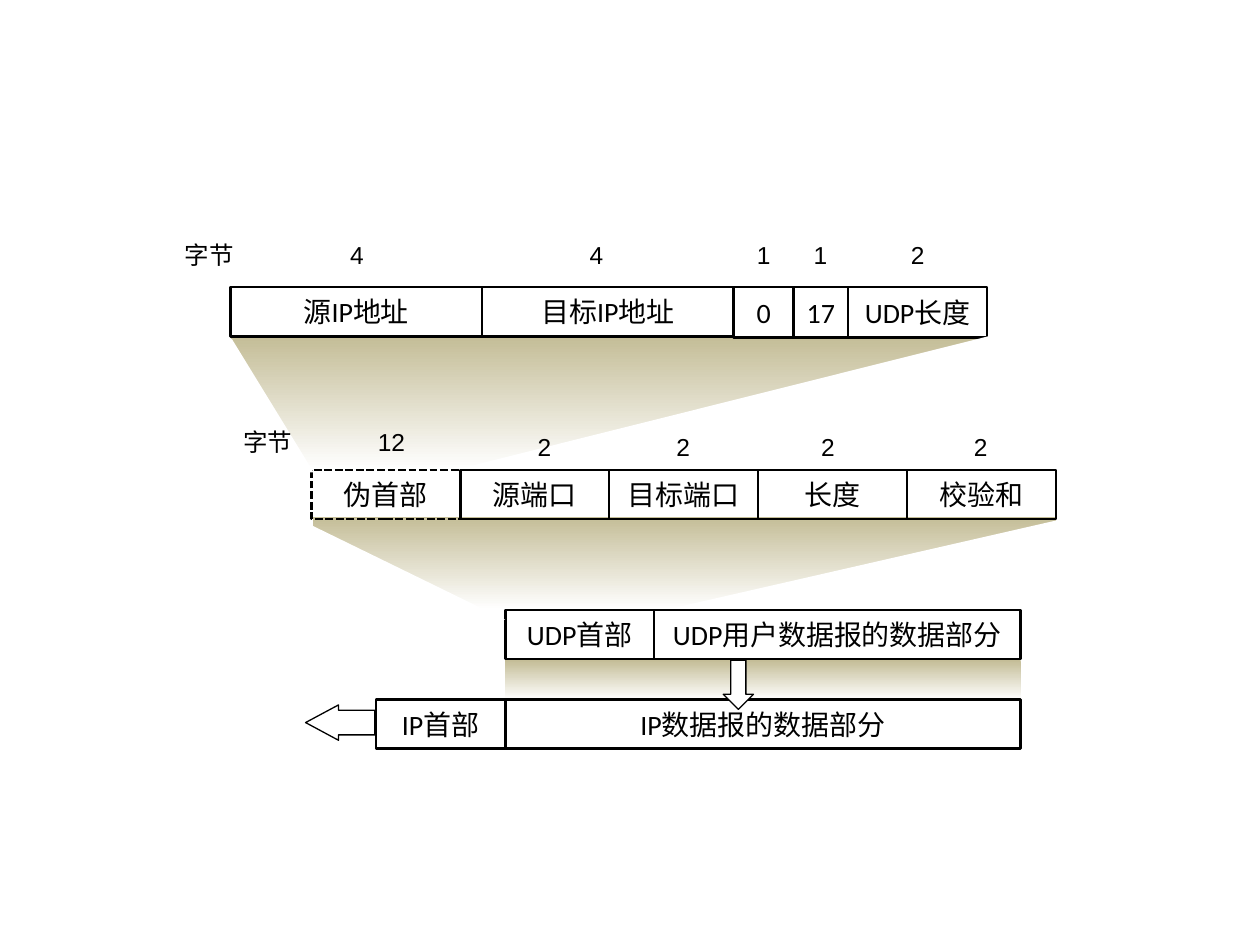
"""Build a slide showing how a UDP datagram and its pseudo header are encapsulated in IP."""
from dataclasses import dataclass

from pptx import Presentation
from pptx.dml.color import RGBColor
from pptx.enum.dml import MSO_LINE
from pptx.enum.shapes import MSO_SHAPE
from pptx.enum.text import MSO_ANCHOR, MSO_AUTO_SIZE, PP_ALIGN
from pptx.shapes.autoshape import Shape
from pptx.slide import Slide
from pptx.util import Pt

BLACK = RGBColor(0x00, 0x00, 0x00)
WHITE = RGBColor(0xFF, 0xFF, 0xFF)
TAN = RGBColor(0xC4, 0xBD, 0x97)
RECTANGLE = MSO_SHAPE.RECTANGLE
TRIANGLE = MSO_SHAPE.ISOSCELES_TRIANGLE
DOWN_ARROW = MSO_SHAPE.DOWN_ARROW
DASH = MSO_LINE.SQUARE_DOT
MIDDLE = MSO_ANCHOR.MIDDLE
CENTER = PP_ALIGN.CENTER
FIT_TEXT = MSO_AUTO_SIZE.SHAPE_TO_FIT_TEXT
CELL_HEIGHT = 28.1
PORT_WIDTH = 85.1


@dataclass(frozen=True)
class Area:
    left: float
    top: float
    width: float
    height: float


@dataclass(frozen=True)
class Cell:
    text: str
    width: float
    height: float = CELL_HEIGHT
    dashed: bool = False


@dataclass(frozen=True)
class Row:
    left: float
    top: float
    cells: tuple[Cell, ...]


@dataclass(frozen=True)
class Wedge:
    area: Area
    apex: float


@dataclass(frozen=True)
class Arrow:
    area: Area
    adjustments: tuple[float, float] = (0.5, 0.5)
    rotation: float = 0


@dataclass(frozen=True)
class Label:
    text: str
    left: float
    top: float
    width: float = 22.1


ROWS = (
    Row(288.7, 348.6, (Cell("UDP首部", PORT_WIDTH), Cell("UDP用户数据报的数据部分", 209.4))),
    Row(214.8, 399.6, (Cell("IP首部", 73.9), Cell("IP数据报的数据部分", 294.5))),
    Row(177.9, 268.6, (
        Cell("伪首部", PORT_WIDTH, dashed=True),
        *(Cell(text, PORT_WIDTH) for text in ("源端口", "目标端口", "长度", "校验和")),
    )),
    Row(131.7, 164.1, (
        Cell("源IP地址", 143.8),
        Cell("目标IP地址", 143.8),
        Cell("0", 34.2, 28.8),
        Cell("17", 31.2, 28.8),
        Cell("UDP长度", 79.3, 28.8),
    )),
)
BANDS = (
    Area(288.7, 377.3, 294.5, 22.3),
    Area(178.6, 295.2, 424.8, 53.3),
    Area(131.8, 192.2, 429.1, 76.3),
)
BACK_WEDGE = Wedge(Area(373.7, 297.4, 343.4, 52.6), 0.67)
FRONT_WEDGES = (
    Wedge(Area(262.8, 191.5, 411.8, 76.3), 0.74),
    Wedge(Area(-4.3, 193.7, 183.6, 76.3), 0.745),
    Wedge(Area(40.3, 299.5, 248.4, 54.7), 0.549),
)
ARROWS = (
    Arrow(Area(413.3, 377.3, 17.3, 28.1)),
    Arrow(Area(184.3, 393.1, 20.2, 39.6), (0.697, 0.93), 90),
)
LABELS = (
    Label("字节", 98.6, 133.9, 42.5),
    Label("4", 193, 133.9),
    Label("4", 329.8, 133.9),
    Label("1", 425.5, 133.9),
    Label("1", 457.9, 133.9),
    Label("2", 513.4, 133.9),
    Label("字节", 131.8, 240.5, 42.5),
    Label("12", 208.8, 240.5, 30.2),
    Label("2", 300.2, 243.4),
    Label("2", 379.4, 243.4),
    Label("2", 462.2, 243.4),
    Label("2", 549.4, 243.4),
)


def add_shape(page: Slide, kind: MSO_SHAPE, area: Area) -> Shape:
    """Add a preset shape with no shadow, fill or line."""
    shape = page.shapes.add_shape(
        kind, Pt(area.left), Pt(area.top), Pt(area.width), Pt(area.height))
    shape.shadow.inherit = False
    shape.fill.background()
    shape.line.fill.background()
    return shape


def outline(shape: Shape, width: float) -> None:
    """Give a shape a black line."""
    shape.line.color.rgb = BLACK
    shape.line.width = Pt(width)


def fill_white(shape: Shape) -> None:
    """Fill a shape with solid white."""
    shape.fill.solid()
    shape.fill.fore_color.rgb = WHITE


def write(shape: Shape, text: str, font_name: str, size: float) -> None:
    """Write one unwrapped black paragraph in a shape."""
    shape.text_frame.word_wrap = False
    paragraph = shape.text_frame.paragraphs[0]
    paragraph.text = text
    paragraph.font.name = font_name
    paragraph.font.size = Pt(size)
    paragraph.font.color.rgb = BLACK


def draw_band(page: Slide, area: Area) -> None:
    """Draw a band that fades downwards from tan to white."""
    fill = add_shape(page, RECTANGLE, area).fill
    fill.gradient()
    fill.gradient_angle = 270
    for stop, color in zip(fill.gradient_stops, (TAN, WHITE)):
        stop.color.rgb = color


def draw_wedge(page: Slide, wedge: Wedge) -> None:
    """Draw a white triangle that trims the side of a band."""
    shape = add_shape(page, TRIANGLE, wedge.area)
    shape.adjustments[0] = wedge.apex
    fill_white(shape)


def draw_row(page: Slide, row: Row) -> None:
    """Draw the cells of a row side by side."""
    left = row.left
    for cell in row.cells:
        box = add_shape(page, RECTANGLE, Area(left, row.top, cell.width, cell.height))
        outline(box, 1.5)
        if cell.dashed:
            box.line.dash_style = DASH
        write(box, cell.text, "Calibri", 16)
        box.text_frame.vertical_anchor = MIDDLE
        box.text_frame.paragraphs[0].alignment = CENTER
        left += cell.width


def draw_arrow(page: Slide, arrow: Arrow) -> None:
    """Draw a white block arrow."""
    shape = add_shape(page, DOWN_ARROW, arrow.area)
    for index, value in enumerate(arrow.adjustments):
        shape.adjustments[index] = value
    shape.rotation = arrow.rotation
    fill_white(shape)
    outline(shape, 0.75)


def draw_label(page: Slide, label: Label) -> None:
    """Draw a byte count or its caption."""
    box = page.shapes.add_textbox(
        Pt(label.left), Pt(label.top), Pt(label.width), Pt(24.2))
    write(box, label.text, "Arial", 14)
    box.text_frame.auto_size = FIT_TEXT


def main() -> None:
    """Build and save the deck."""
    deck = Presentation()
    deck.slide_width, deck.slide_height = Pt(720), Pt(540)
    page = deck.slides.add_slide(deck.slide_layouts[6])
    for band in BANDS:
        draw_band(page, band)
    draw_wedge(page, BACK_WEDGE)
    for row in ROWS:
        draw_row(page, row)
    for arrow in ARROWS:
        draw_arrow(page, arrow)
    for wedge in FRONT_WEDGES:
        draw_wedge(page, wedge)
    for label in LABELS:
        draw_label(page, label)
    deck.save("out.pptx")


if __name__ == "__main__":
    main()
